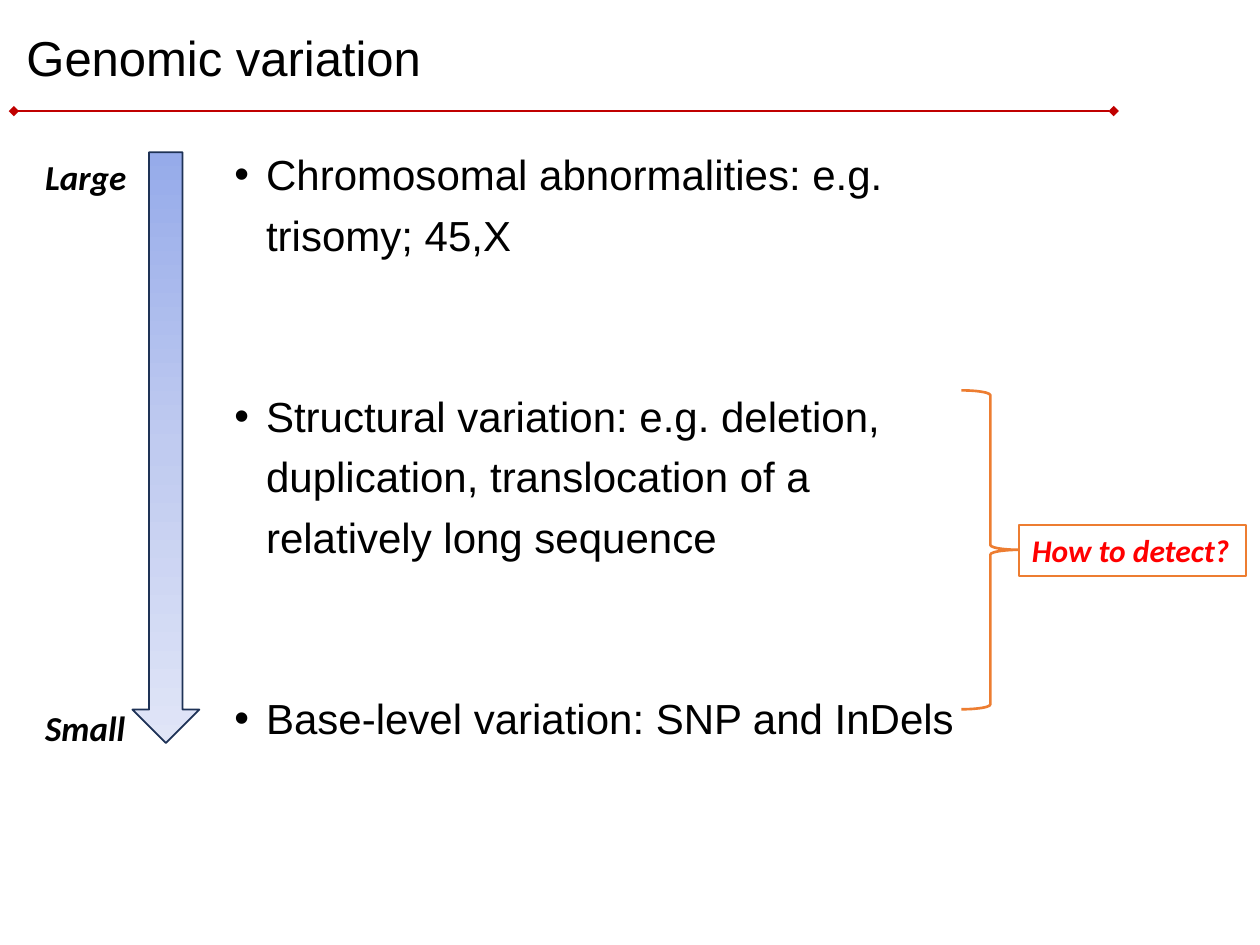
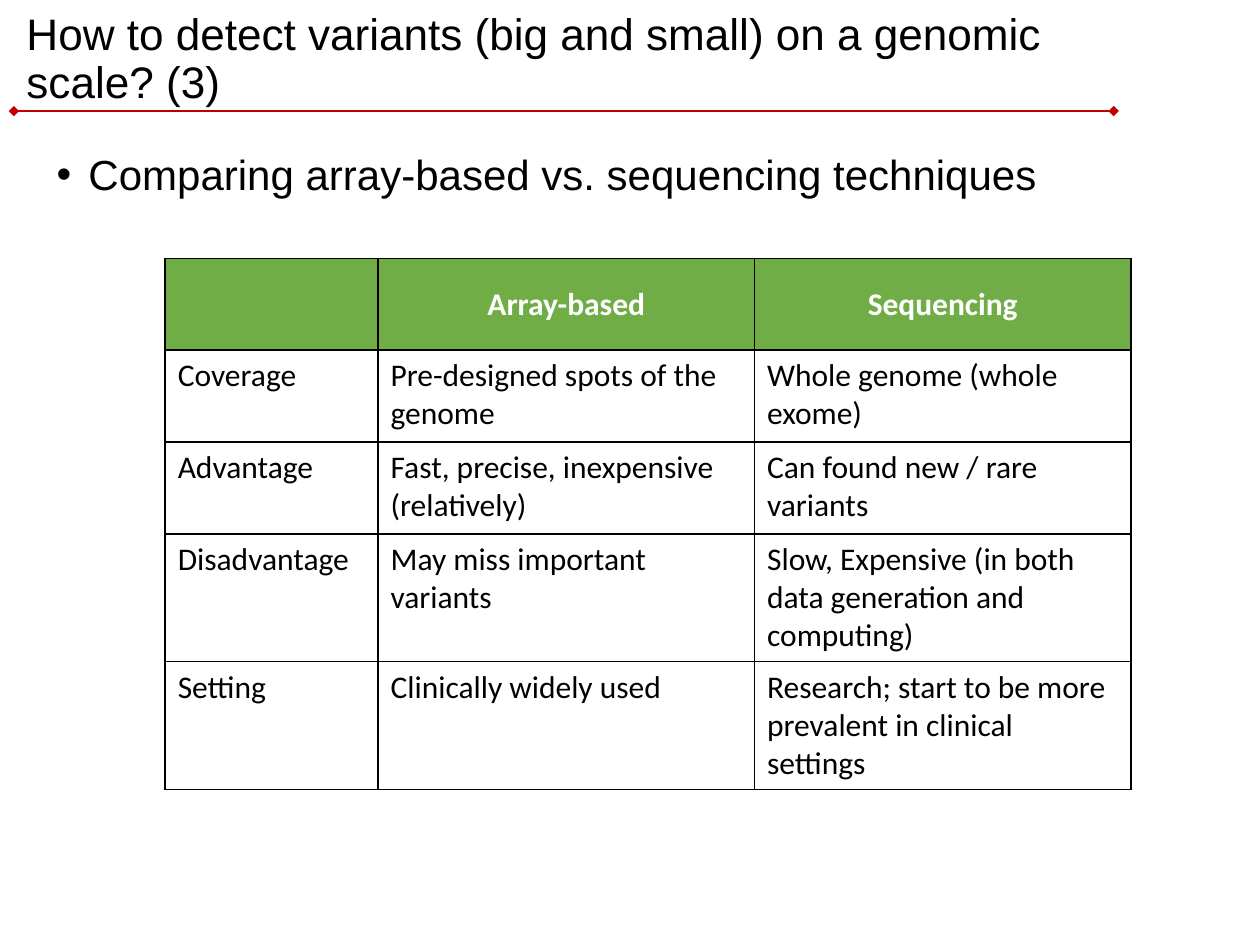
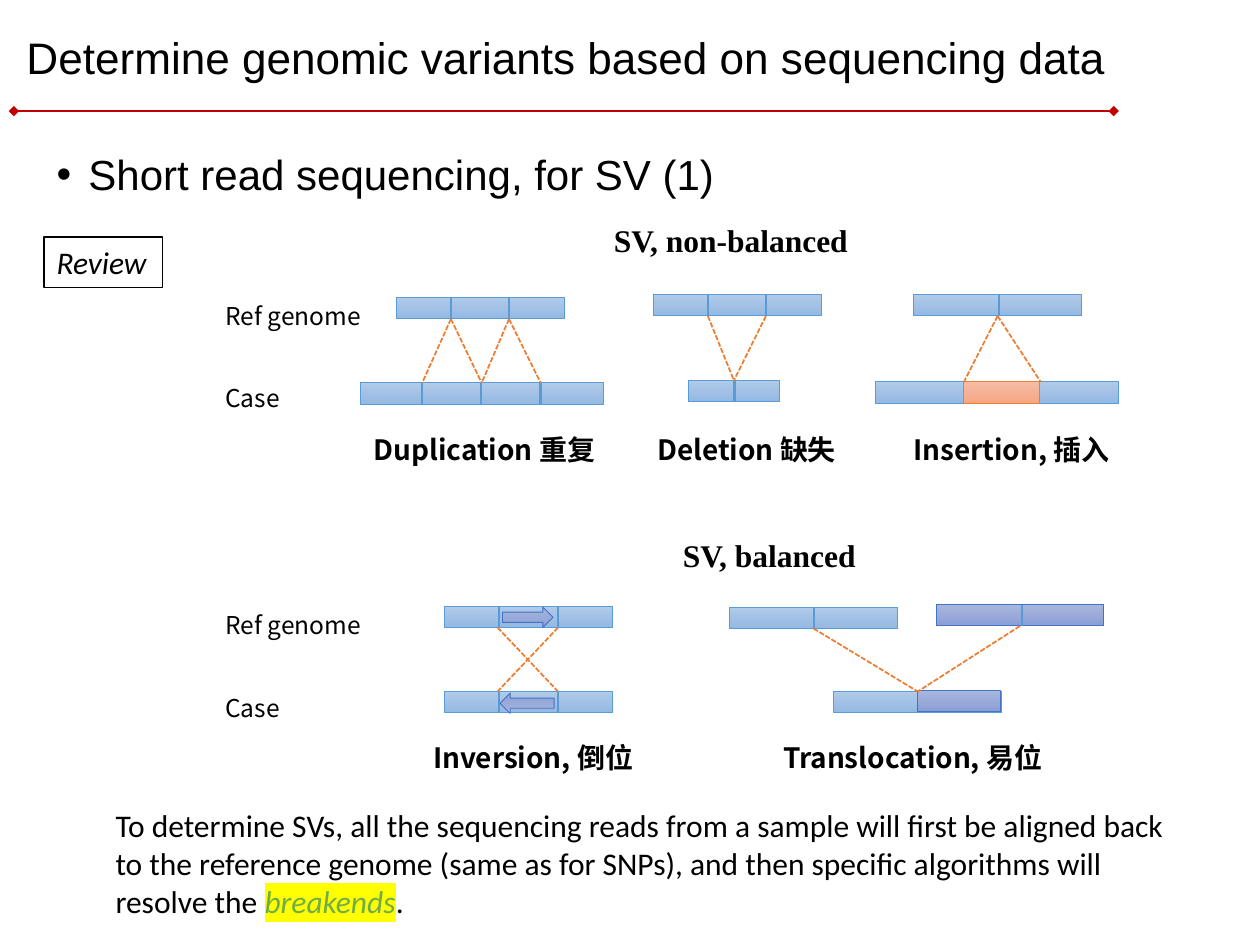
from copy import deepcopy
from lxml.etree import SubElement
from pptx import Presentation
from pptx.dml.color import RGBColor
from pptx.enum.dml import MSO_LINE
from pptx.enum.shapes import MSO_CONNECTOR, MSO_SHAPE
from pptx.enum.text import MSO_ANCHOR, MSO_AUTO_SIZE, PP_ALIGN
from pptx.oxml.ns import qn
from pptx.util import Cm, Pt

RECT, BRACE = MSO_SHAPE.RECTANGLE, MSO_SHAPE.RIGHT_BRACE
DOWN, RIGHT = MSO_SHAPE.DOWN_ARROW, MSO_SHAPE.RIGHT_ARROW
STRAIGHT, DASH = MSO_CONNECTOR.STRAIGHT, MSO_LINE.SQUARE_DOT
LEFT, CENTER = PP_ALIGN.LEFT, PP_ALIGN.CENTER
TOP, MIDDLE = MSO_ANCHOR.TOP, MSO_ANCHOR.MIDDLE
NO_FIT = MSO_AUTO_SIZE.NONE


class Theme:
    head, body, serif, cjk = "Arial", "Calibri", "Times New Roman", "Noto Sans CJK SC"
    black, white, red, rule = "000000", "FFFFFF", "FF0000", "C00000"
    orange, blue, green, yellow = "ED7D31", "5B9BD5", "70AD47", "FFFF00"
    title, fit, list, size, text, name, label = 28, 25.2, 24, 20, 18, 16, 14
    fills = {
        "scale": (("96ABEA", "C0CBF0", "E0E5F7"), "1E3256", 1),
        "blue": (("B1CBE9", "A3C1E5", "93B9E4"), blue, 0.5),
        "orange": (("F7BDA5", "F5B196", "F8A582"), orange, 0.5),
        "indigo": (("A8B7DF", "9AABD9", "889ED7"), "4472C4", 0.5),
    }


WIDE, SIDE = (0.89, 2.67, 23.39, 14.5), (4.47, 2.67, 15.65, 14.5)
SLIDES = [
    ("Genomic variation", Theme.title, 23.04, SIDE, [
        "Chromosomal abnormalities: e.g. trisomy; 45,X",
        "Structural variation: e.g. deletion, duplication, translocation of a relatively long sequence",
        "Base-level variation: SNP and InDels"]),
    ("How to detect variants (big and small) on a genomic scale? (3)", Theme.fit, 23.04, WIDE,
     ["Comparing array-based vs. sequencing techniques"]),
    ("Determine genomic variants based on sequencing data", Theme.fit, 24.66, WIDE,
     ["Short read sequencing, for SV (1)"]),
]
SCALE = [("Large", 3.02), ("Small", 14.12)]
COLS, ROW = (4.29, 7.59, 7.59), 1.85
TABLE = [
    ("", "Array-based", "Sequencing"),
    ("Coverage", "Pre-designed spots of the genome", "Whole genome (whole exome)"),
    ("Advantage", "Fast, precise, inexpensive (relatively)", "Can found new / rare variants"),
    ("Disadvantage", "May miss important variants",
     "Slow, Expensive (in both data generation and computing)"),
    ("Setting", "Clinically widely used",
     "Research; start to be more prevalent in clinical settings"),
]
GROUPS = [("SV, non-balanced", (11.84, 4.34, 5.79, 1.02)),
          ("SV, balanced", (13.49, 10.69, 4.04, 1.02))]
LABELS = [("Ref genome", (5.94, 12.17), 3.4), ("Case", (7.59, 13.84), 1.65)]
BAR, SPAN = 0.43, 3.38
PANELS = [
    {"name": "Duplication 重复", "box": (7.29, 8.59, 5.13),
     "ref": [(8, 6, SPAN, "blue", (9.09, 10.26))],
     "case": [(7.26, 7.72, 4.9, "blue", (8.51, 9.7, 10.9))],
     "links": [(9.09, 8.51), (9.09, 9.7), (10.26, 9.7), (10.26, 10.9)]},
    {"name": "Deletion 缺失", "box": (13, 8.59, 4.27),
     "ref": [(13.18, 5.94, SPAN, "blue", (14.27, 15.44))],
     "case": [(13.87, 7.67, 1.85, "blue", (14.81,))],
     "links": [(14.27, 14.81), (15.44, 14.81)]},
    {"name": "Insertion, 插入", "box": (18.16, 8.59, 4.57),
     "ref": [(18.42, 5.94, SPAN, "blue", (20.14,))],
     "case": [(17.65, 7.7, 4.9, "blue", ()), (19.43, 7.7, 1.52, "orange", ())],
     "links": [(20.1, 19.43), (20.1, 20.98)]},
    {"name": "Inversion, 倒位", "box": (8.48, 14.81, 4.65),
     "ref": [(8.97, 12.22, SPAN, "blue", (10.06, 11.25))],
     "case": [(8.97, 13.94, SPAN, "blue", (10.06, 11.25))],
     "links": [(10.03, 11.25), (11.25, 10.03)]},
    {"name": "Translocation, 易位", "box": (15.54, 14.81, 5.84),
     "ref": [(14.71, 12.24, SPAN, "blue", (16.41,)), (18.87, 12.19, SPAN, "indigo", (20.6,))],
     "case": [(16.81, 13.94, SPAN, "blue", (18.52,)), (18.49, 13.92, 1.68, "indigo", ())],
     "links": [(16.4, 18.49), (20.56, 18.49)]},
]
TURNS = [((10.13, 12.24, 1.02, 0.41), 0), ((10.08, 13.97, 1.09, 0.41), 180)]
NOTE = ("To determine SVs, all the sequencing reads from a sample will first be aligned back "
        "to the reference genome (same as for SNPs), and then specific algorithms will resolve the ",
        "breakends", ".")


def rgb(code):
    return RGBColor.from_string(code)


def cms(box):
    return [Cm(v) for v in box]


def style(par, size, face=Theme.body, color=Theme.black, bold=False, slant=False, align=LEFT):
    par.alignment = align
    font = par.font
    font.name, font.size, font.bold, font.italic = face, Pt(size), bold, slant
    font.color.rgb = rgb(color)
    if face == Theme.cjk:
        props = par._p.find(".//" + qn("a:defRPr"))
        SubElement(props, qn("a:ea")).set("typeface", face)


def write(shape, text, size, wrap=False, **look):
    frame = shape.text_frame
    frame.word_wrap, frame.auto_size, frame.vertical_anchor = wrap, NO_FIT, TOP
    frame.text = text
    style(frame.paragraphs[0], size, **look)


def label(slide, text, box, size, **look):
    write(slide.shapes.add_textbox(*cms(box)), text, size, **look)


def outline(slide, kind, box, color, width, fill=None):
    shape = slide.shapes.add_shape(kind, *cms(box))
    shape.shadow.inherit = False
    shape.line.color.rgb, shape.line.width = rgb(color), Pt(width)
    if fill:
        shape.fill.solid()
        shape.fill.fore_color.rgb = rgb(fill)
    else:
        shape.fill.background()
    return shape


def shade(slide, kind, box, hue):
    tones, color, width = Theme.fills[hue]
    shape = outline(slide, kind, box, color, width)
    fill = shape.fill
    fill.gradient()
    fill.gradient_angle = 270
    stops = shape.element.find(".//" + qn("a:gsLst"))
    stops.insert(1, deepcopy(stops[0]))
    for stop, spot, tone in zip(fill.gradient_stops, (0, 0.5, 1), tones):
        stop.position, stop.color.rgb = spot, rgb(tone)
    return shape


def stroke(slide, ends, color, width, dash=None):
    line = slide.shapes.add_connector(STRAIGHT, *cms(ends))
    line.line.color.rgb, line.line.width = rgb(color), Pt(width)
    if dash:
        line.line.dash_style = dash
    SubElement(line.element.spPr, qn("a:effectLst"))
    return line


def start(deck, title, size, width, area, items):
    slide = deck.slides.add_slide(deck.slide_layouts[1])
    head, body = slide.placeholders
    head.left, head.top, head.width, head.height = cms((0.28, 0.15, width, 2.13))
    write(head, title, size, wrap=True, face=Theme.head)
    head.text_frame.vertical_anchor = MIDDLE
    head.text_frame.paragraphs[0].line_spacing = 0.9
    body.left, body.top, body.width, body.height = cms(area)
    frame = body.text_frame
    frame.text = "\n".join(items)
    frame.auto_size = NO_FIT
    for i, par in enumerate(frame.paragraphs):
        props = par._p.get_or_add_pPr()
        props.set("marL", str(Cm(0.64)))
        props.set("indent", str(-Cm(0.64)))
        par.line_spacing, par.space_before = 1.2, Pt(69 if i else 0)
        style(par, Theme.list, Theme.head)
    return slide


def add_rule(slide):
    rule = stroke(slide, (0.28, 2.24, 22.45, 2.24), Theme.rule, 1)
    for end in ("a:headEnd", "a:tailEnd"):
        SubElement(rule.element.spPr.find(qn("a:ln")), qn(end)).set("type", "diamond")
    slide.slide_layout.shapes.element.append(rule.element)


def draw_scale(slide):
    shade(slide, DOWN, (2.67, 3.07, 1.35, 11.91), "scale")
    for text, top in SCALE:
        label(slide, text, (0.66, top, 2.16, 1.1), Theme.size, bold=True, slant=True)
    outline(slide, BRACE, (19.38, 7.87, 1.17, 6.43), Theme.orange, 1.5)
    box = outline(slide, RECT, (20.55, 10.59, 4.57, 1.02), Theme.orange, 1, Theme.white)
    write(box, "How to detect?", Theme.text, color=Theme.red, bold=True, slant=True)


def edge(cell):
    props = cell._tc.get_or_add_tcPr()
    for i, side in enumerate(("a:lnL", "a:lnR", "a:lnT", "a:lnB")):
        line = SubElement(props, qn(side))
        line.set("w", str(Pt(1)))
        SubElement(SubElement(line, qn("a:solidFill")), qn("a:srgbClr")).set("val", Theme.black)
        props.insert(i, line)


def draw_table(slide):
    box = (3.33, 5.21, sum(COLS), ROW * len(TABLE))
    table = slide.shapes.add_table(len(TABLE), len(COLS), *cms(box)).table
    table.horz_banding = False
    for col, width in zip(table.columns, COLS):
        col.width = Cm(width)
    for r, row in enumerate(TABLE):
        table.rows[r].height = Cm(ROW)
        top = r == 0
        for c, text in enumerate(row):
            cell = table.cell(r, c)
            cell.text = text
            cell.vertical_anchor = MIDDLE if top else TOP
            cell.fill.solid()
            cell.fill.fore_color.rgb = rgb(Theme.green if top else Theme.white)
            edge(cell)
            style(cell.text_frame.paragraphs[0], Theme.text, bold=top,
                  color=Theme.white if top else Theme.black, align=CENTER if top else LEFT)


def draw_bars(slide, bars):
    mids = []
    for left, top, width, hue, ticks in bars:
        mids.append((left + width / 2, shade(slide, RECT, (left, top, width, BAR), hue)))
        for x in ticks:
            stroke(slide, (x, top, x, top + BAR), Theme.blue, 1.5)
    return mids


def join(connect, mids, x, site):
    for mid, bar in mids:
        if abs(mid - x) < 0.05:
            connect(bar, site)


def draw_panel(slide, panel):
    ref, case = draw_bars(slide, panel["ref"]), draw_bars(slide, panel["case"])
    high, low = panel["ref"][0][1] + BAR, panel["case"][0][1]
    for a, b in panel["links"]:
        link = stroke(slide, (a, high, b, low), Theme.orange, 1, DASH)
        join(link.begin_connect, ref, a, 2)
        join(link.end_connect, case, b, 0)
    label(slide, panel["name"], (*panel["box"], 0.94), Theme.name,
          wrap=True, face=Theme.cjk, bold=True)


def draw_note(slide):
    box = slide.shapes.add_textbox(*cms((2.08, 16.13, 22.2, 2.57)))
    write(box, "", Theme.text, wrap=True)
    par = box.text_frame.paragraphs[0]
    runs = []
    for text in NOTE:
        run = par.add_run()
        run.text = text
        runs.append(run)
    font = runs[1].font
    font.italic, font.color.rgb = True, rgb(Theme.green)
    props = runs[1]._r.rPr
    mark = SubElement(props, qn("a:highlight"))
    SubElement(mark, qn("a:srgbClr")).set("val", Theme.yellow)
    props.find(qn("a:solidFill")).addnext(mark)


def draw_review(slide):
    box = outline(slide, RECT, (0.89, 4.78, 2.39, 1.02), Theme.black, 0.75)
    write(box, "Review", Theme.text, slant=True)
    for text, area in GROUPS:
        label(slide, text, area, Theme.text, wrap=True, face=Theme.serif, bold=True, align=CENTER)
    for text, tops, width in LABELS:
        for top in tops:
            label(slide, text, (4.29, top, width, 0.86), Theme.label, face=Theme.cjk)
    for panel in PANELS:
        draw_panel(slide, panel)
    for area, turn in TURNS:
        shade(slide, RIGHT, area, "indigo").rotation = turn
    draw_note(slide)


def main():
    deck = Presentation()
    deck.slide_width, deck.slide_height = Cm(25.4), Cm(19.05)
    slides = [start(deck, *data) for data in SLIDES]
    add_rule(slides[0])
    for draw, slide in zip((draw_scale, draw_table, draw_review), slides):
        draw(slide)
    deck.save("out.pptx")


if __name__ == "__main__":
    main()
